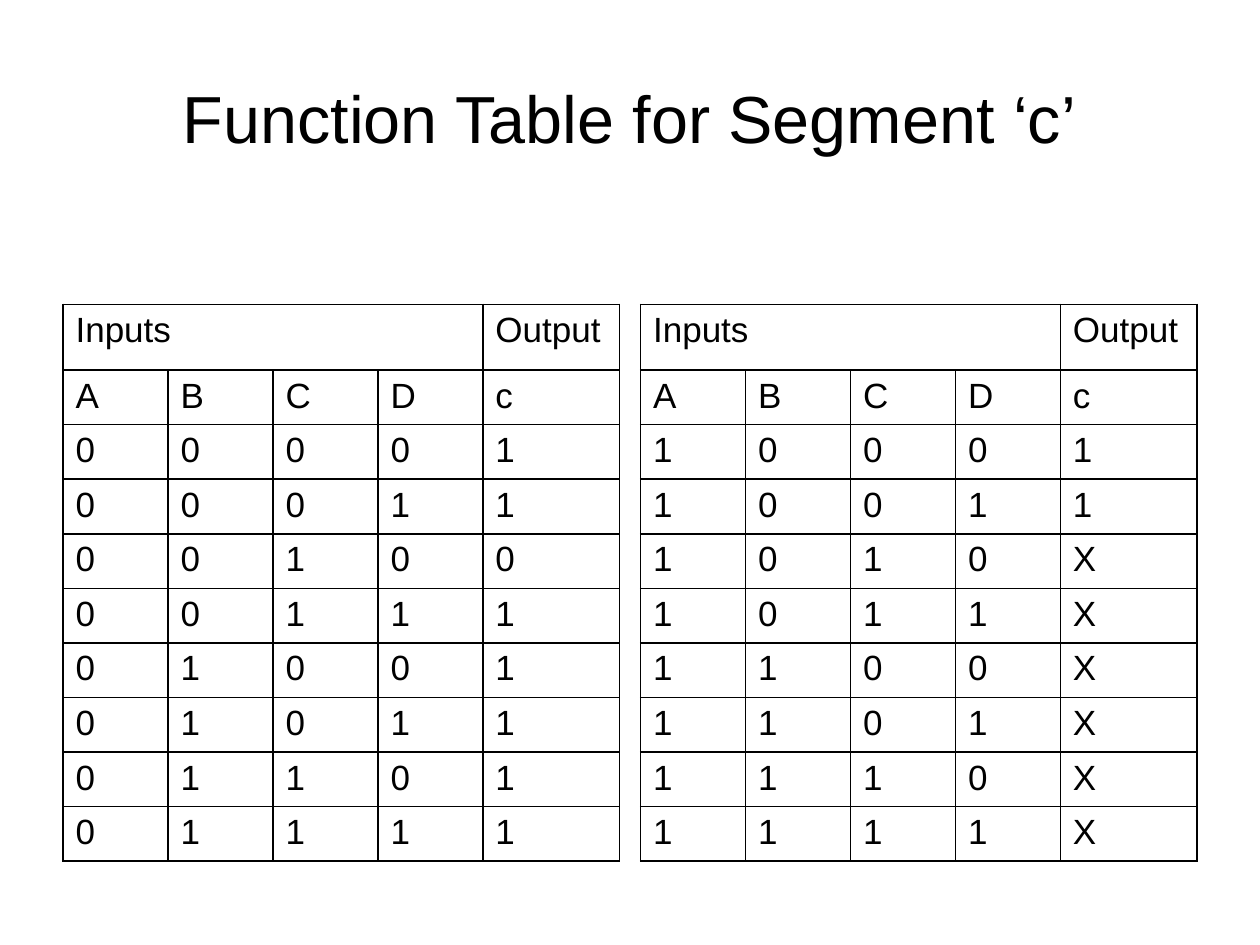
from itertools import product

from lxml.etree import SubElement
from pptx import Presentation
from pptx.dml.color import RGBColor
from pptx.enum.text import MSO_ANCHOR as Anchor, PP_ALIGN as Align
from pptx.oxml.ns import qn
from pptx.util import Inches, Pt

COLORS = {"ink": "000000", "paper": "FFFFFF"}
FONT = "Arial"
UNIT = Inches(10) // 120  # the slide is a grid of 120 columns by 90 rows

TITLE_BOX = (6, 3.6, 108, 15)
TABLE_TOP = 29
TABLE_LEFTS = (6, 61)
INPUT_WIDTH, OUTPUT_WIDTH = 10, 13
HEADING_HEIGHT, ROW_HEIGHT = 6.25, 5.2

INPUTS = "ABCD"
SEGMENT_OUTPUTS = "11011111" "11XXXXXX"  # X marks an unused input code


def grid(units):
    return round(units * UNIT)


def format_text(text_frame, size, alignment):
    paragraph = text_frame.paragraphs[0]
    paragraph.alignment = alignment
    for run in paragraph.runs:
        run.font.name = FONT
        run.font.size = Pt(size)
        run.font.color.rgb = RGBColor.from_string(COLORS["ink"])


def add_title(slide, box, text):
    title = slide.shapes.title
    title.left, title.top, title.width, title.height = map(grid, box)
    title.text_frame.text = text
    title.text_frame.vertical_anchor = Anchor.MIDDLE
    format_text(title.text_frame, 38, Align.CENTER)


def add_borders(cell):
    properties = cell._tc.get_or_add_tcPr()
    for side in ("a:lnL", "a:lnR", "a:lnT", "a:lnB"):
        line = SubElement(properties, qn(side), w=str(Pt(1)))
        fill = SubElement(line, qn("a:solidFill"))
        SubElement(fill, qn("a:srgbClr"), val=COLORS["ink"])


def add_function_table(slide, left, top, rows):
    """Place a truth table whose rows hold the input bits and then the output."""
    headings = ["Inputs", *[""] * (len(INPUTS) - 1), "Output"]
    grid_rows = [headings, [*INPUTS, "c"], *rows]
    widths = [INPUT_WIDTH] * len(INPUTS) + [OUTPUT_WIDTH]
    heights = [HEADING_HEIGHT] + [ROW_HEIGHT] * (len(grid_rows) - 1)
    box = map(grid, (left, top, sum(widths), sum(heights)))
    table = slide.shapes.add_table(len(heights), len(widths), *box).table
    table.first_row = table.horz_banding = False

    for column, width in zip(table.columns, widths):
        column.width = grid(width)
    for row, height, values in zip(table.rows, heights, grid_rows):
        row.height = grid(height)
        for cell, value in zip(row.cells, values):
            cell.text_frame.text = value
            format_text(cell.text_frame, 20, Align.JUSTIFY)
            add_borders(cell)
            cell.fill.background()
    table.cell(0, 0).merge(table.cell(0, len(INPUTS) - 1))


def main():
    presentation = Presentation()
    presentation.slide_width, presentation.slide_height = grid(120), grid(90)
    slide = presentation.slides.add_slide(presentation.slide_layouts[5])
    background = slide.background.fill
    background.solid()
    background.fore_color.rgb = RGBColor.from_string(COLORS["paper"])

    add_title(slide, TITLE_BOX, "Function Table for Segment ‘c’")
    codes = product("01", repeat=len(INPUTS))
    rows = [[*code, output] for code, output in zip(codes, SEGMENT_OUTPUTS)]
    half = len(rows) // 2
    for left, part in zip(TABLE_LEFTS, (rows[:half], rows[half:])):
        add_function_table(slide, left, TABLE_TOP, part)
    presentation.save("out.pptx")


if __name__ == "__main__":
    main()
